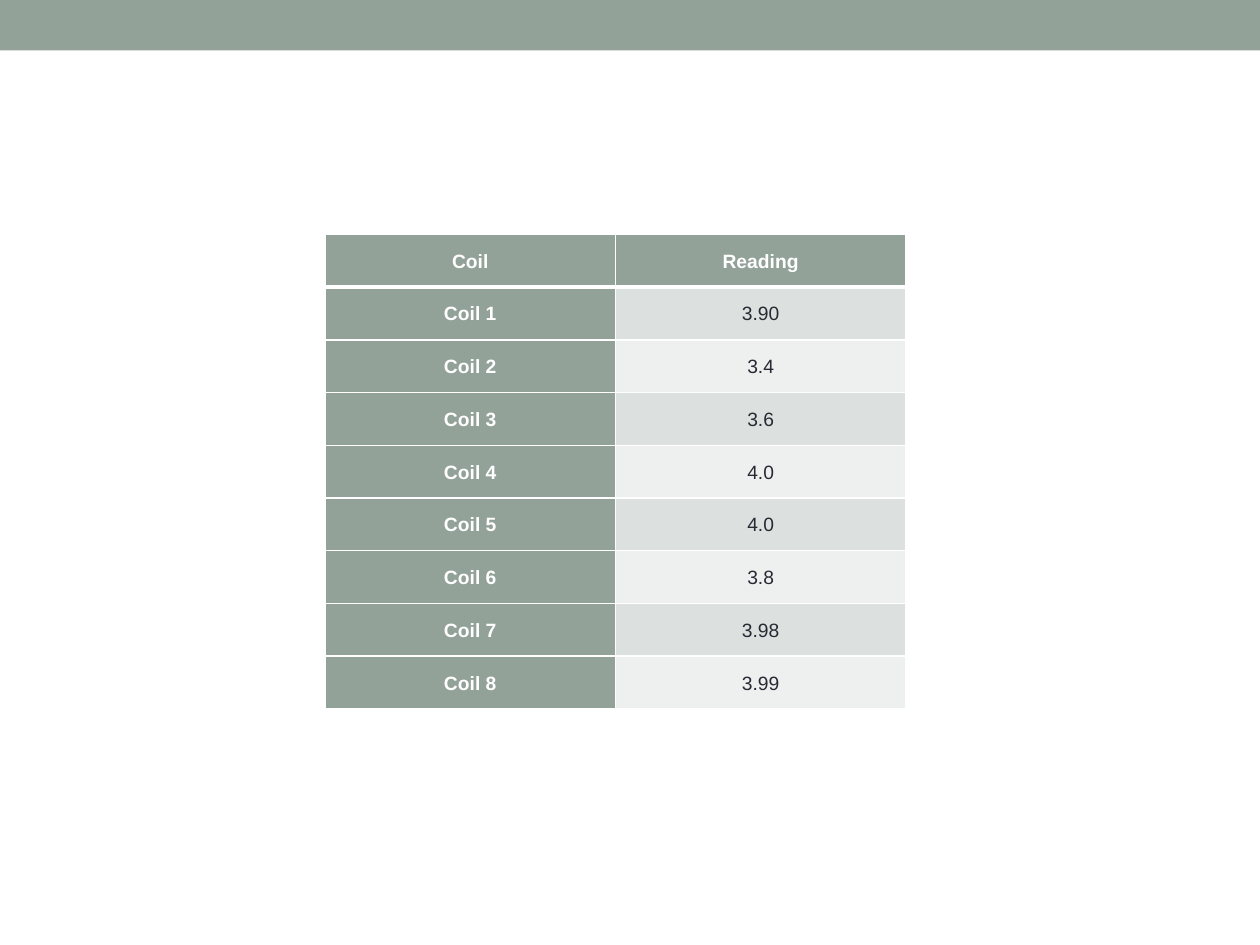
from dataclasses import dataclass

from lxml import etree
from pptx import Presentation
from pptx.dml.color import RGBColor
from pptx.enum.shapes import MSO_SHAPE
from pptx.enum.text import MSO_ANCHOR, PP_ALIGN
from pptx.oxml.ns import qn
from pptx.util import Inches, Pt

RECTANGLE = MSO_SHAPE.RECTANGLE
MIDDLE = MSO_ANCHOR.MIDDLE
CENTER = PP_ALIGN.CENTER

COLORS = {
    "sage": "93A299",
    "band_dark": "DCE0DE",
    "band_light": "EEF0EF",
    "ink": "292934",
    "white": "FFFFFF",
}
PAGE_WIDTH, PAGE_HEIGHT = Inches(10), Inches(7.5)
BAR_HEIGHT = Inches(0.4)
TABLE_LEFT, TABLE_TOP = Inches(2.58), Inches(1.86)
TABLE_WIDTH, TABLE_HEIGHT = Inches(4.61), Inches(3.77)
THIN, THICK = Pt(1), Pt(3)

HEADINGS = ("Coil", "Reading")
READINGS = ("3.90", "3.4", "3.6", "4.0", "4.0", "3.8", "3.98", "3.99")


@dataclass(frozen=True)
class CellStyle:
    fill: str
    color: str
    bold: bool


LABEL = CellStyle("sage", "white", True)
BANDS = (
    CellStyle("band_dark", "ink", False),
    CellStyle("band_light", "ink", False),
)


def rgb(name: str) -> RGBColor:
    return RGBColor.from_string(COLORS[name])


def draw_bar(page) -> None:
    bar = page.shapes.add_shape(RECTANGLE, 0, 0, PAGE_WIDTH, BAR_HEIGHT)
    bar.shadow.inherit = False
    bar.fill.solid()
    bar.fill.fore_color.rgb = rgb("sage")
    bar.line.fill.background()


def set_borders(cell, top: int, bottom: int) -> None:
    properties = cell._tc.get_or_add_tcPr()
    widths = {"lnL": THIN, "lnR": THIN, "lnT": top, "lnB": bottom}
    for index, (tag, width) in enumerate(widths.items()):
        line = etree.Element(qn(f"a:{tag}"), w=str(int(width)))
        fill = etree.SubElement(line, qn("a:solidFill"))
        etree.SubElement(fill, qn("a:srgbClr"), val=COLORS["white"])
        properties.insert(index, line)


def fill_cell(cell, text: str, style: CellStyle) -> None:
    cell.fill.solid()
    cell.fill.fore_color.rgb = rgb(style.fill)
    cell.vertical_anchor = MIDDLE
    cell.margin_left = cell.margin_right = Inches(0.07)
    cell.margin_top = cell.margin_bottom = 0
    cell.text_frame.text = text
    para = cell.text_frame.paragraphs[0]
    para.alignment = CENTER
    para.line_spacing = 1.07
    font = para.runs[0].font
    font.name = "Arial"
    font.size = Pt(11)
    font.bold = style.bold
    font.color.rgb = rgb(style.color)


def draw_table(page) -> None:
    rows = [HEADINGS]
    rows += [(f"Coil {number}", reading) for number, reading in enumerate(READINGS, 1)]
    table = page.shapes.add_table(
        len(rows), len(HEADINGS), TABLE_LEFT, TABLE_TOP, TABLE_WIDTH, TABLE_HEIGHT
    ).table
    for row, texts in enumerate(rows):
        for column, text in enumerate(texts):
            is_label = row == 0 or column == 0
            style = LABEL if is_label else BANDS[(row - 1) % 2]
            cell = table.cell(row, column)
            fill_cell(cell, text, style)
            set_borders(
                cell,
                top=THICK if row == 1 else THIN,
                bottom=THICK if row == 0 else THIN,
            )


def main() -> None:
    deck = Presentation()
    deck.slide_width, deck.slide_height = PAGE_WIDTH, PAGE_HEIGHT
    page = deck.slides.add_slide(deck.slide_layouts[6])
    draw_bar(page)
    draw_table(page)
    deck.save("out.pptx")


if __name__ == "__main__":
    main()
